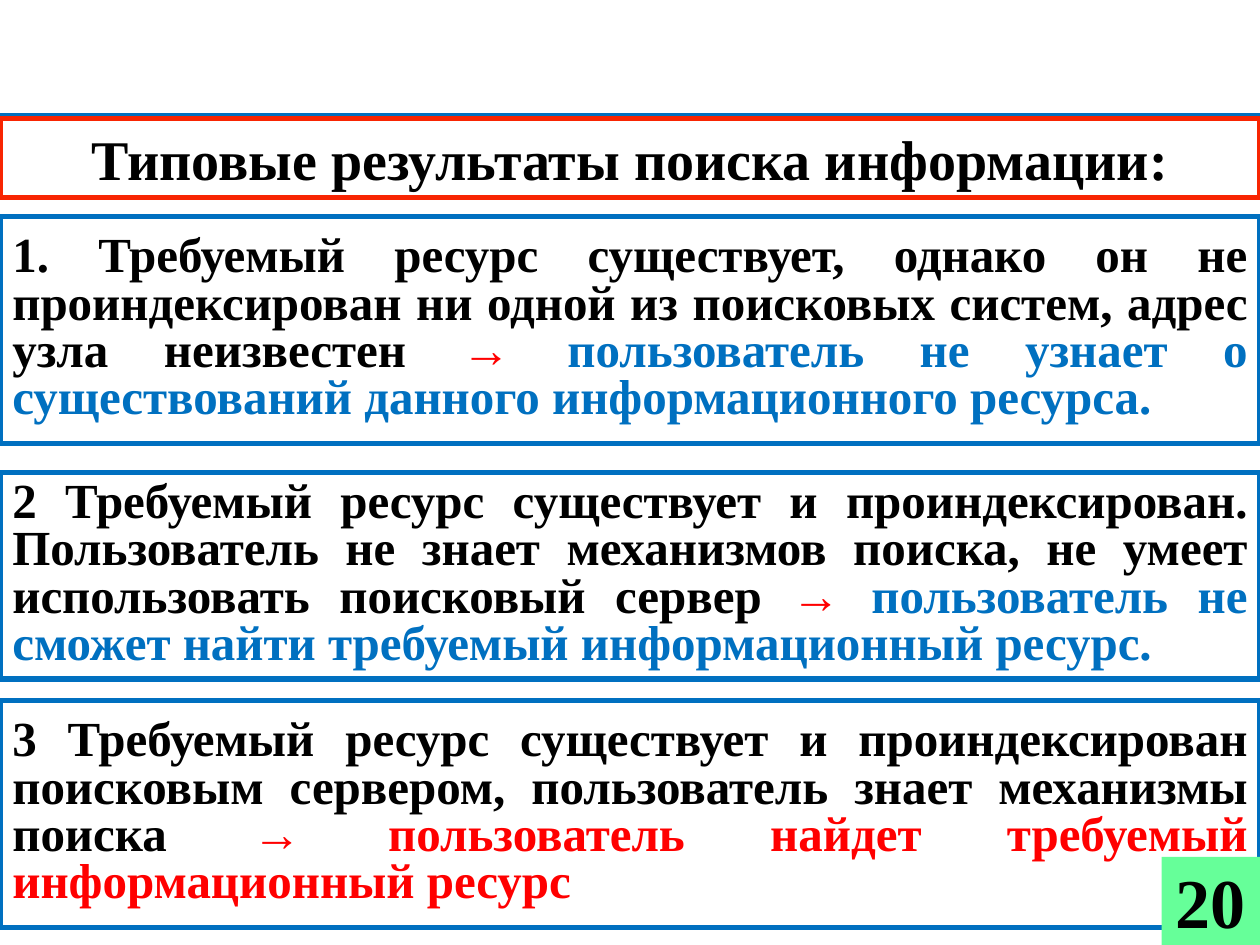
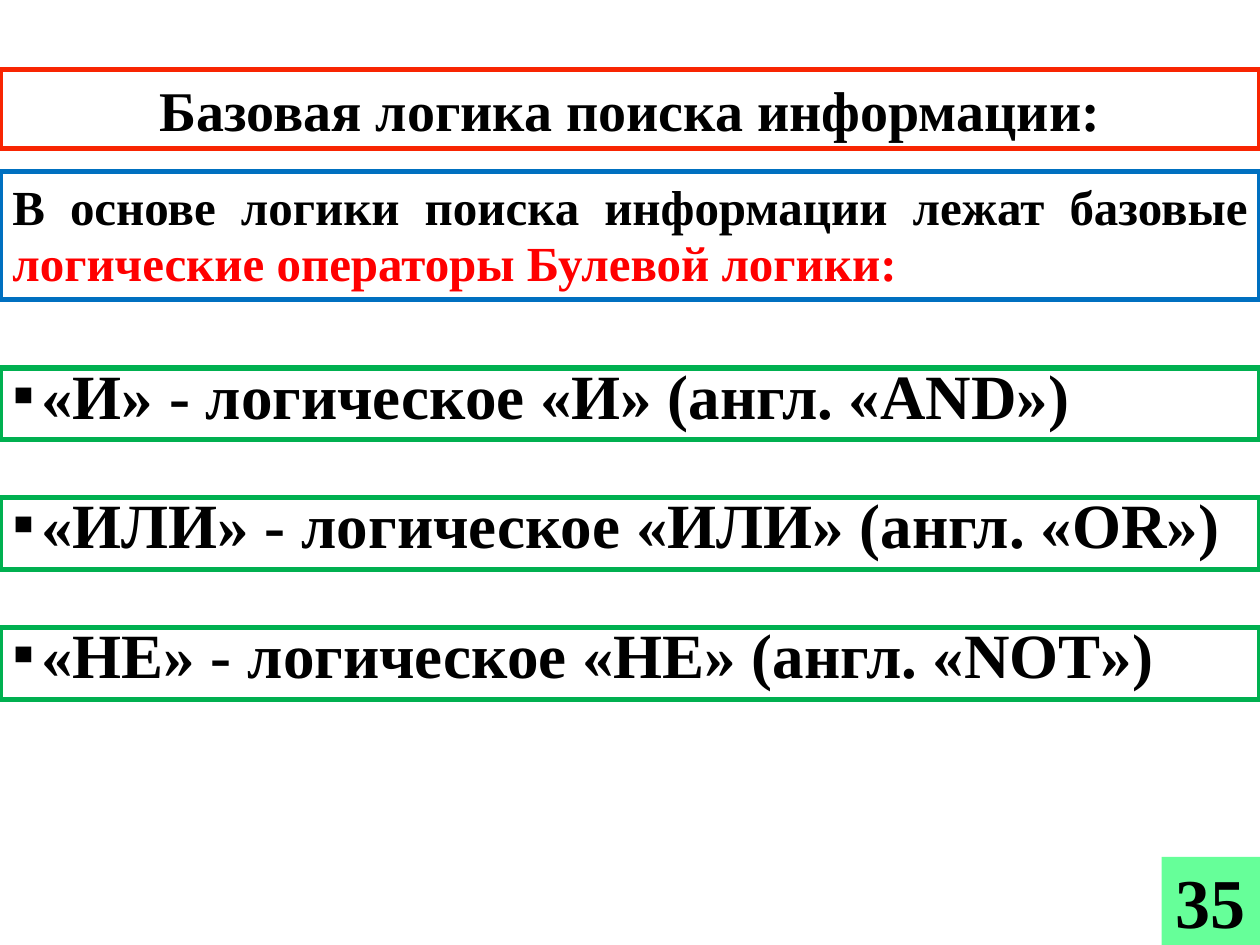
from dataclasses import dataclass

from lxml import etree
from pptx import Presentation
from pptx import util as u
from pptx.dml.color import RGBColor
from pptx.enum import shapes, text
from pptx.oxml import ns


@dataclass(frozen=True)
class Theme:
    black: str = "000000"
    white: str = "FFFFFF"
    red: str = "FF0000"
    title_red: str = "F82502"
    blue: str = "0070C0"
    green: str = "00B050"
    mint: str = "66FF99"
    font: str = "Times New Roman"
    arrow_font: str = "Arial"
    title_size: int = 32
    body_size: int = 28
    option_size: int = 36
    number_size: int = 40
    border: int = 3


class Deck:
    def __init__(self, theme):
        self.theme = theme
        self.presentation = Presentation()
        self.presentation.slide_width = u.Inches(10)
        self.presentation.slide_height = u.Inches(7.5)
        self.slide = None

    def new_slide(self):
        self.slide = self.presentation.slides.add_slide(self.presentation.slide_layouts[6])

    def box(self, top, height, border=None, left=0, width=10, fill=None):
        shape = self.slide.shapes.add_shape(
            shapes.MSO_SHAPE.RECTANGLE,
            u.Inches(left), u.Inches(top), u.Inches(width), u.Inches(height))
        shape.shadow.inherit = False
        shape.fill.solid()
        shape.fill.fore_color.rgb = RGBColor.from_string(fill or self.theme.white)
        if border:
            shape.line.color.rgb = RGBColor.from_string(border)
            shape.line.width = u.Pt(self.theme.border)
        else:
            shape.line.fill.background()
        frame = shape.text_frame
        frame.word_wrap = True
        frame.vertical_anchor = text.MSO_ANCHOR.MIDDLE
        return frame.paragraphs[0]

    def fill_text(self, paragraph, runs, size, align=text.PP_ALIGN.CENTER, spacing=None):
        paragraph.alignment = align
        if spacing:
            paragraph.line_spacing = u.Pt(spacing)
        paragraph.font.size = u.Pt(size)
        paragraph.font.bold = True
        paragraph.font.name = self.theme.font
        for words, color, *font in runs:
            run = paragraph.add_run()
            run.text = words
            run.font.color.rgb = RGBColor.from_string(color)
            if font:
                run.font.name = font[0]

    def title(self, top, words):
        paragraph = self.box(top, 0.63, self.theme.title_red)
        self.fill_text(paragraph, [(words, self.theme.black)], self.theme.title_size)

    def statement(self, top, height, runs, spacing):
        paragraph = self.box(top, height, self.theme.blue)
        self.fill_text(paragraph, runs, self.theme.body_size, text.PP_ALIGN.JUSTIFY, spacing)

    def outcome(self, top, height, cause, result, color):
        runs = [(cause + " ", self.theme.black),
                ("→ ", self.theme.red, self.theme.arrow_font),
                (result, color)]
        self.statement(top, height, runs, 27)

    def option(self, top, words):
        paragraph = self.box(top, 0.57, self.theme.green)
        properties = paragraph._p.get_or_add_pPr()
        properties.set("marL", str(u.Inches(0.23)))
        properties.set("indent", str(-u.Inches(0.23)))
        color = etree.SubElement(properties, ns.qn("a:buClr"))
        etree.SubElement(color, ns.qn("a:srgbClr"), val=self.theme.black)
        etree.SubElement(properties, ns.qn("a:buFont"), typeface=self.theme.font)
        etree.SubElement(properties, ns.qn("a:buChar"), char="▪")
        self.fill_text(paragraph, [(words, self.theme.black)], self.theme.option_size,
                       text.PP_ALIGN.LEFT, 32)

    def rule(self, top):
        line = self.slide.shapes.add_connector(
            shapes.MSO_CONNECTOR.STRAIGHT, 0, u.Inches(top), u.Inches(10), u.Inches(top))
        line.line.color.rgb = RGBColor.from_string(self.theme.blue)
        line.line.width = u.Pt(self.theme.border)
        etree.SubElement(line._element.spPr, ns.qn("a:effectLst"))

    def page_number(self, number):
        paragraph = self.box(6.8, 0.7, left=9.22, width=0.78, fill=self.theme.mint)
        self.fill_text(paragraph, [(str(number), self.theme.black)], self.theme.number_size)


def search_results(deck):
    theme = deck.theme
    deck.new_slide()
    deck.rule(0.92)
    deck.title(0.94, "Типовые результаты поиска информации:")
    outcomes = [
        (1.72, 1.8,
         "1. Требуемый ресурс существует, однако он не проиндексирован ни одной "
         "из поисковых систем, адрес узла неизвестен",
         "пользователь не узнает о существований данного информационного ресурса.",
         theme.blue),
        (3.75, 1.64,
         "2 Требуемый ресурс существует и проиндексирован. Пользователь не знает "
         "механизмов поиска, не умеет использовать поисковый сервер",
         "пользователь не сможет найти требуемый информационный ресурс.",
         theme.blue),
        (5.56, 1.8,
         "3 Требуемый ресурс существует и проиндексирован поисковым сервером, "
         "пользователь знает механизмы поиска",
         "пользователь найдет требуемый информационный ресурс",
         theme.red),
    ]
    for outcome in outcomes:
        deck.outcome(*outcome)
    deck.page_number(20)


def search_logic(deck):
    theme = deck.theme
    deck.new_slide()
    deck.title(0.55, "Базовая логика поиска информации:")
    deck.statement(1.36, 1.02, [
        ("В основе логики поиска информации лежат базовые ", theme.black),
        ("логические операторы Булевой логики:", theme.red),
    ], 32)
    operators = [("И", "AND"), ("ИЛИ", "OR"), ("НЕ", "NOT")]
    for index, (russian, english) in enumerate(operators):
        deck.option(2.92 + 1.03 * index,
                    f"«{russian}» - логическое «{russian}» (англ. «{english}»)")
    deck.page_number(35)


def main():
    deck = Deck(Theme())
    search_results(deck)
    search_logic(deck)
    deck.presentation.save("out.pptx")


if __name__ == "__main__":
    main()
